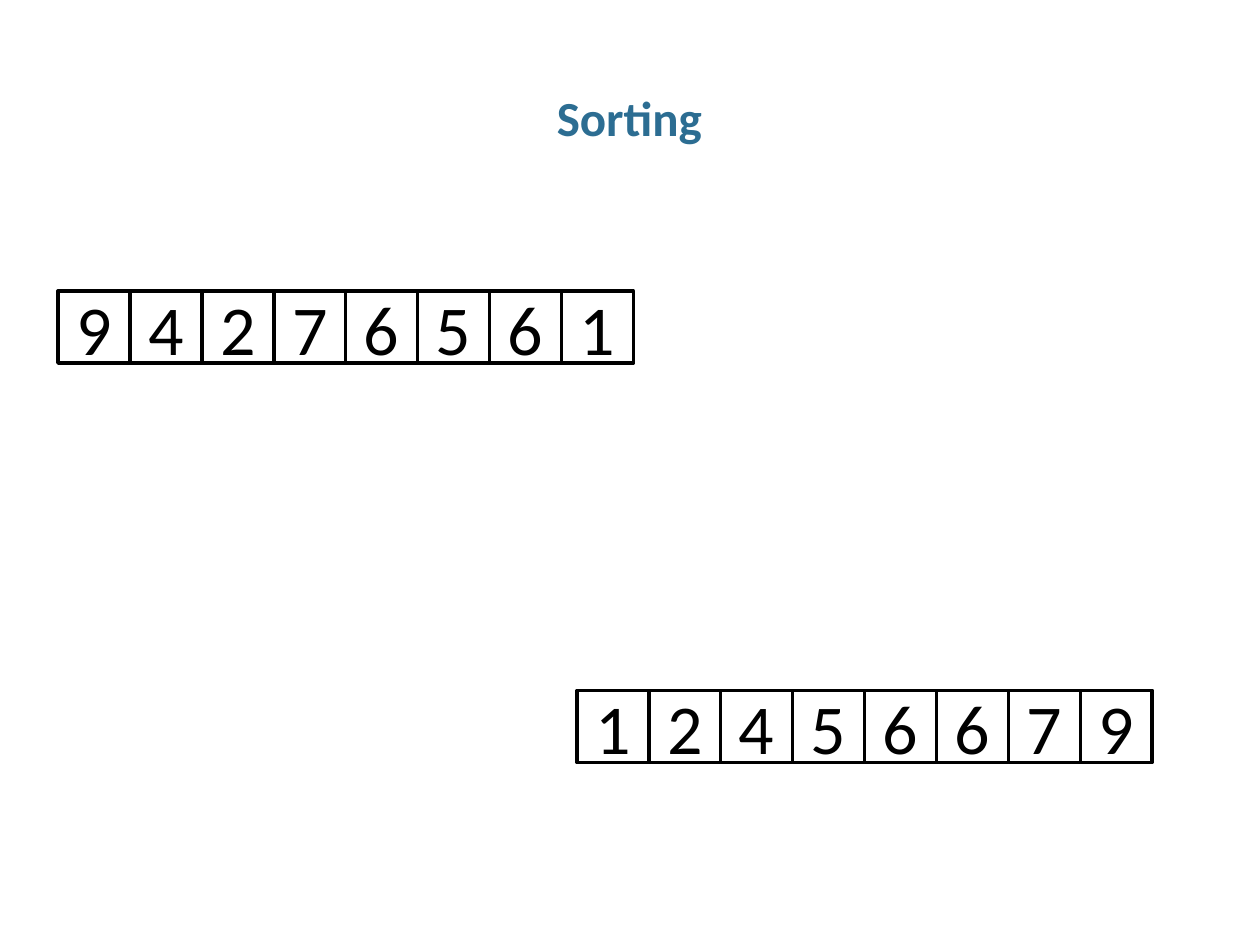
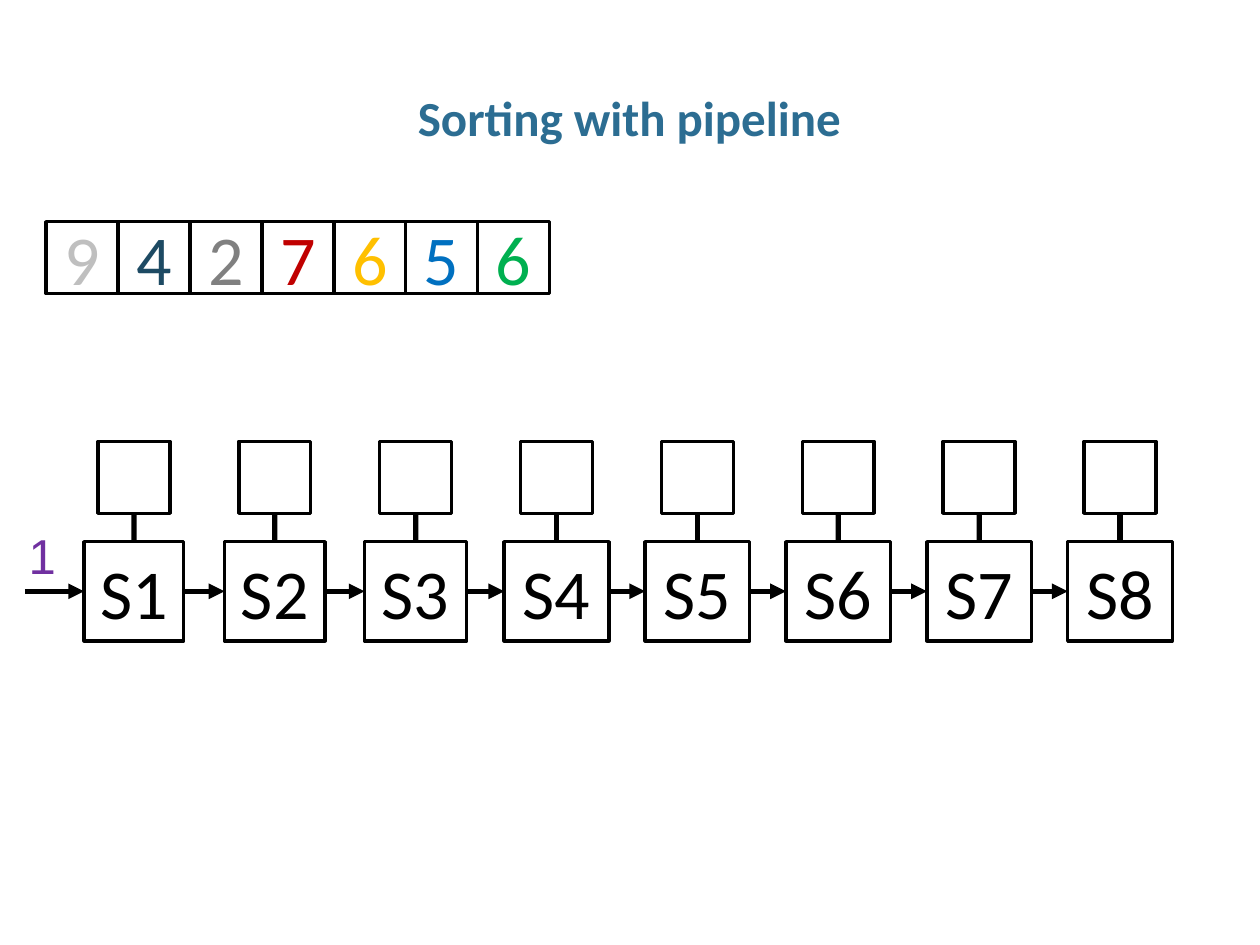
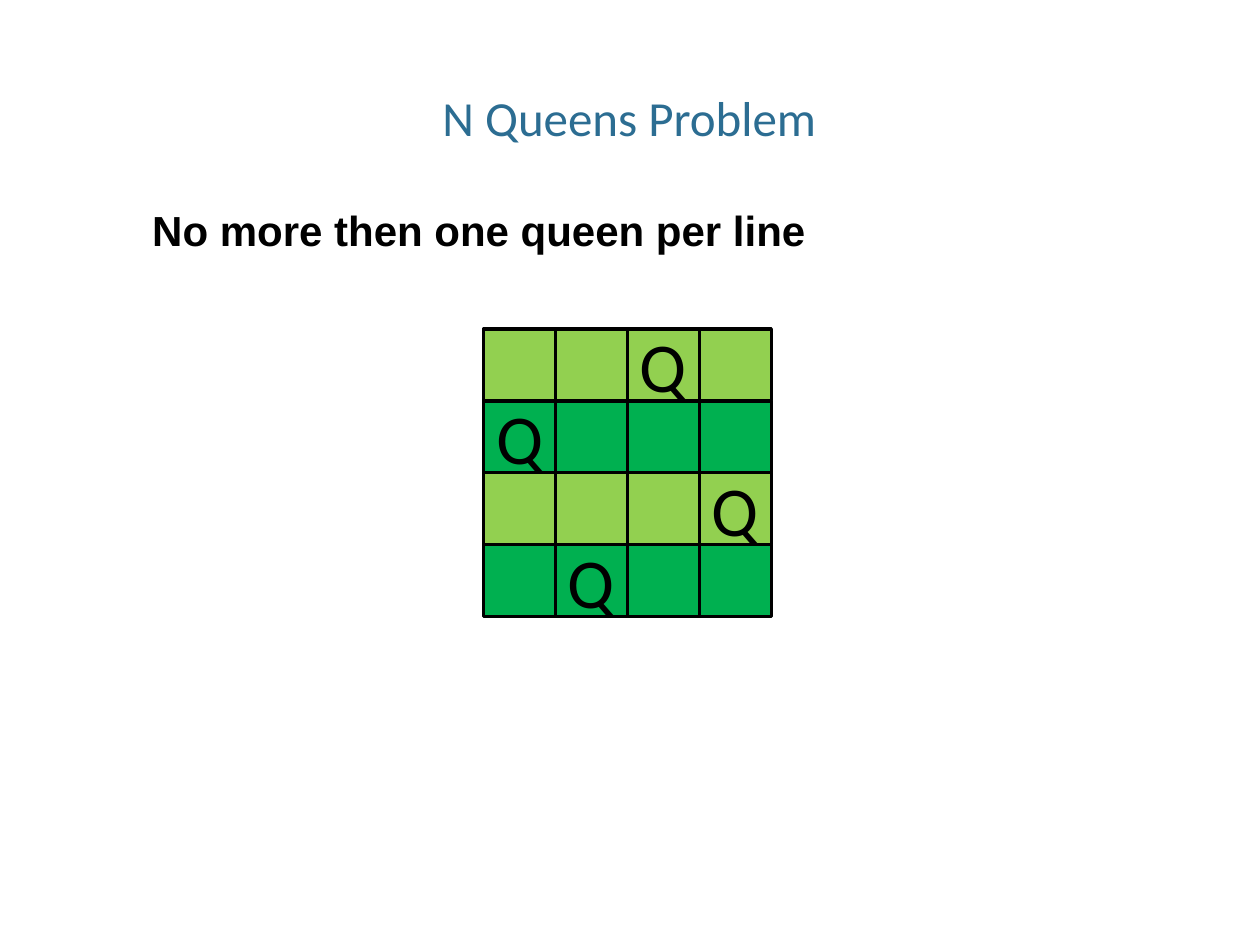
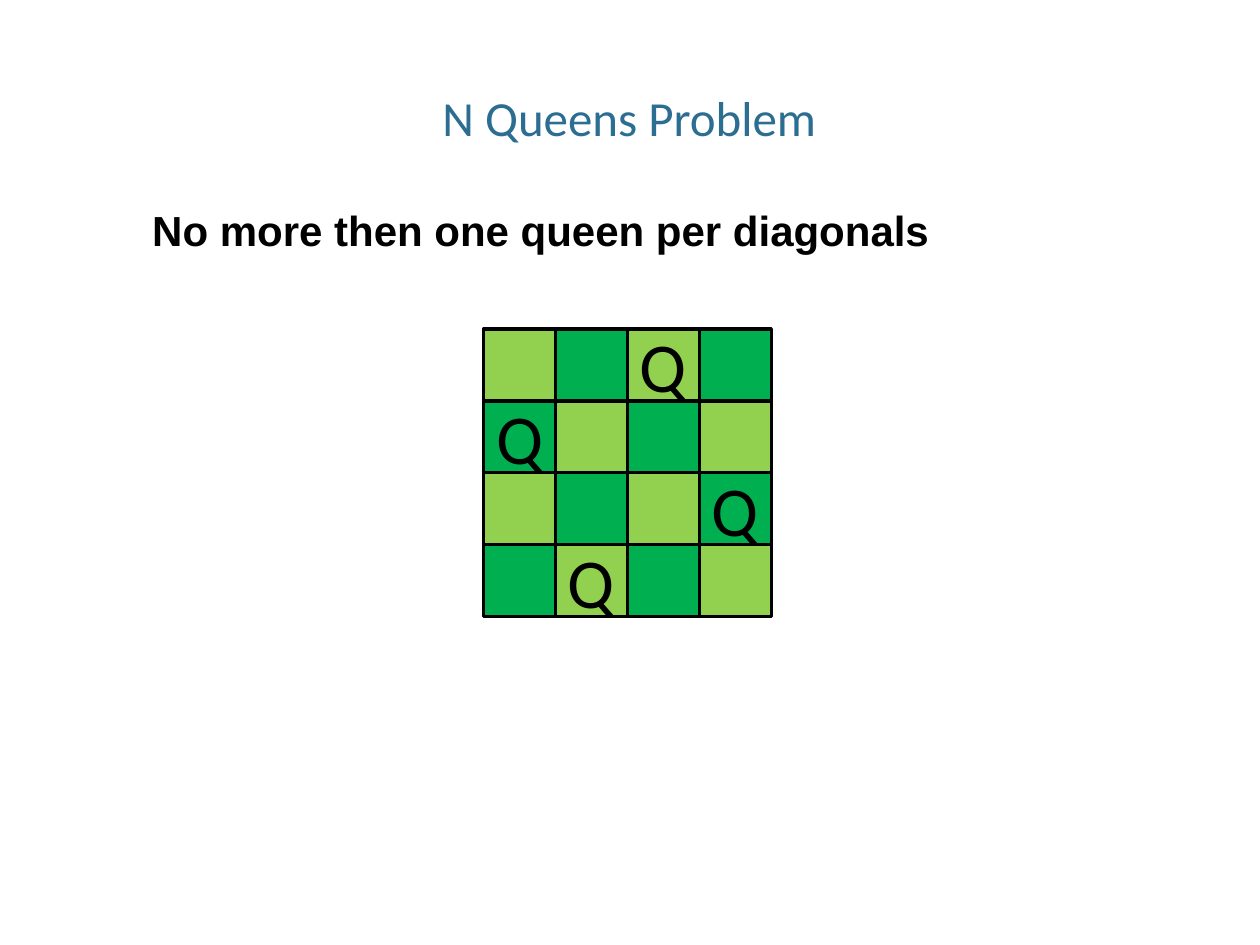
from dataclasses import dataclass

from lxml import etree
from pptx import Presentation
from pptx.dml.color import RGBColor
from pptx.enum.shapes import MSO_CONNECTOR, MSO_SHAPE
from pptx.enum.text import MSO_ANCHOR, MSO_AUTO_SIZE, PP_ALIGN
from pptx.oxml.ns import qn
from pptx.util import Cm, Pt

RECT = MSO_SHAPE.RECTANGLE
STRAIGHT = MSO_CONNECTOR.STRAIGHT
TOP, MIDDLE = MSO_ANCHOR.TOP, MSO_ANCHOR.MIDDLE
CENTER, LEFT = PP_ALIGN.CENTER, PP_ALIGN.LEFT
FIT_SHAPE, NO_FIT = MSO_AUTO_SIZE.SHAPE_TO_FIT_TEXT, MSO_AUTO_SIZE.NONE
SIDE_TOP, SIDE_LEFT, SIDE_BOTTOM, SIDE_RIGHT = range(4)
TITLE_ONLY = 5


@dataclass(frozen=True)
class Theme:
    heading_font: str = "Calibri"
    body_font: str = "Arial"
    title: str = "2C6D92"
    black: str = "000000"
    light: str = "92D050"
    dark: str = "00B050"
    purple: str = "7030A0"
    digits: tuple = ("BFBFBF", "1D4A63", "808080", "C00000",
                     "FFC000", "0070C0", "00B050")
    title_size: int = 28
    cell_size: int = 40
    rule_size: int = 24
    outline: int = 2
    arrow: int = 3
    cell: float = 1.45  # side of a square cell, cm


class Deck:
    """Holds the theme and the slide being drawn; lengths are in cm."""

    def __init__(self, theme):
        self.t = theme
        self.prs = Presentation()
        self.prs.slide_width, self.prs.slide_height = Cm(25.4), Cm(19.05)
        self.s = None

    def slide(self, title, bold=False):
        self.s = self.prs.slides.add_slide(self.prs.slide_layouts[TITLE_ONLY])
        sp = self.s.shapes.title
        sp.left, sp.top, sp.width, sp.height = Cm(0.86), Cm(1.73), Cm(23.65), Cm(1.27)
        tf = sp.text_frame
        tf.auto_size, tf.vertical_anchor = NO_FIT, TOP
        tf.margin_left = tf.margin_right = 0
        p = self.run(tf, title, self.t.title_size, self.t.title, bold=bold)
        p.line_spacing = 0.95

    def run(self, tf, text, size, color, align=CENTER, font=None, bold=False):
        p = tf.paragraphs[0]
        p.alignment = align
        r = p.add_run()
        r.text = text
        r.font.name = font or self.t.heading_font
        r.font.size, r.font.bold = Pt(size), bold
        r.font.color.rgb = RGBColor.from_string(color)
        return p

    def box(self, x, y, w, h, text="", color=None, fill=None):
        sp = self.s.shapes.add_shape(RECT, Cm(x), Cm(y), Cm(w), Cm(h))
        sp.shadow.inherit = False
        if fill:
            sp.fill.solid()
            sp.fill.fore_color.rgb = RGBColor.from_string(fill)
        else:
            sp.fill.background()
        sp.line.color.rgb = RGBColor.from_string(self.t.black)
        sp.line.width = Pt(self.t.outline)
        if text:
            sp.text_frame.vertical_anchor = MIDDLE
            self.run(sp.text_frame, text, self.t.cell_size, color or self.t.black)
        return sp

    def cell(self, x, y, text="", color=None, fill=None):
        return self.box(x, y, self.t.cell, self.t.cell, text, color, fill)

    def array(self, x, y, digits, colors=None):
        colors = colors or [self.t.black] * len(digits)
        for i, (digit, color) in enumerate(zip(digits, colors)):
            self.cell(x + i * self.t.cell, y, digit, color)

    def text(self, x, y, w, h, text, size, color, bold=False):
        tf = self.s.shapes.add_textbox(Cm(x), Cm(y), Cm(w), Cm(h)).text_frame
        tf.word_wrap, tf.auto_size = False, FIT_SHAPE
        self.run(tf, text, size, color, LEFT, self.t.body_font, bold)

    def connector(self, start, end, arrow=False):
        """Each end is a (shape, side) pair, or an (x, y) point for the start."""
        c = self.s.shapes.add_connector(STRAIGHT, 0, 0, 0, 0)
        if isinstance(start[0], float):
            c.begin_x, c.begin_y = Cm(start[0]), Cm(start[1])
        else:
            c.begin_connect(*start)
        c.end_connect(*end)
        c.line.color.rgb = RGBColor.from_string(self.t.black)
        c.line.width = Pt(self.t.arrow)
        if arrow:
            ln = c.line._get_or_add_ln()
            etree.SubElement(ln, qn("a:tailEnd"), type="triangle")
        etree.SubElement(c._element.spPr, qn("a:effectLst"))

    def board(self, rule, width, is_dark):
        """Four queens on a board whose squares are shaded by is_dark(row, col)."""
        self.slide("N Queens Problem")
        for row, queen in enumerate((2, 0, 3, 1)):
            for col in range(4):
                self.cell(9.75 + col * self.t.cell, 6.63 + row * self.t.cell,
                          "Q" if col == queen else "",
                          fill=self.t.dark if is_dark(row, col) else self.t.light)
        self.text(2.82, 3.99, width, 1.27, rule, self.t.rule_size, self.t.black, True)


def sorting(d):
    d.slide("Sorting", bold=True)
    d.array(1.17, 5.87, "94276561")
    d.array(11.63, 13.92, "12456679")


def pipeline(d):
    d.slide("Sorting with pipeline", bold=True)
    # Stages, each with its memory cell above and an arrow from the one before
    stage_y, stage_h = 10.92, 2.0
    source = (0.5, stage_y + stage_h / 2)
    for i, w in enumerate([2.01, 2.03, 2.06] + [2.11] * 5):
        center = 2.7 + i * 2.84
        stage = d.box(center - w / 2, stage_y, w, stage_h, f"S{i + 1}")
        memory = d.cell(center - d.t.cell / 2, 8.9)
        d.connector((stage, SIDE_TOP), (memory, SIDE_BOTTOM))
        d.connector(source, (stage, SIDE_LEFT), arrow=True)
        source = (stage, SIDE_RIGHT)
    # Value entering the pipeline, and the values still waiting
    d.text(0.33, 10.46, 1.07, 1.45, "1", d.t.title_size, d.t.purple)
    d.array(0.93, 4.47, "9427656", d.t.digits)


def main():
    d = Deck(Theme())
    sorting(d)
    pipeline(d)
    d.board("No more then one queen per line", 13.79, lambda row, col: row % 2)
    d.board("No more then one queen per diagonals", 16.31,
            lambda row, col: (row + col) % 2)
    d.prs.save("out.pptx")


if __name__ == "__main__":
    main()
